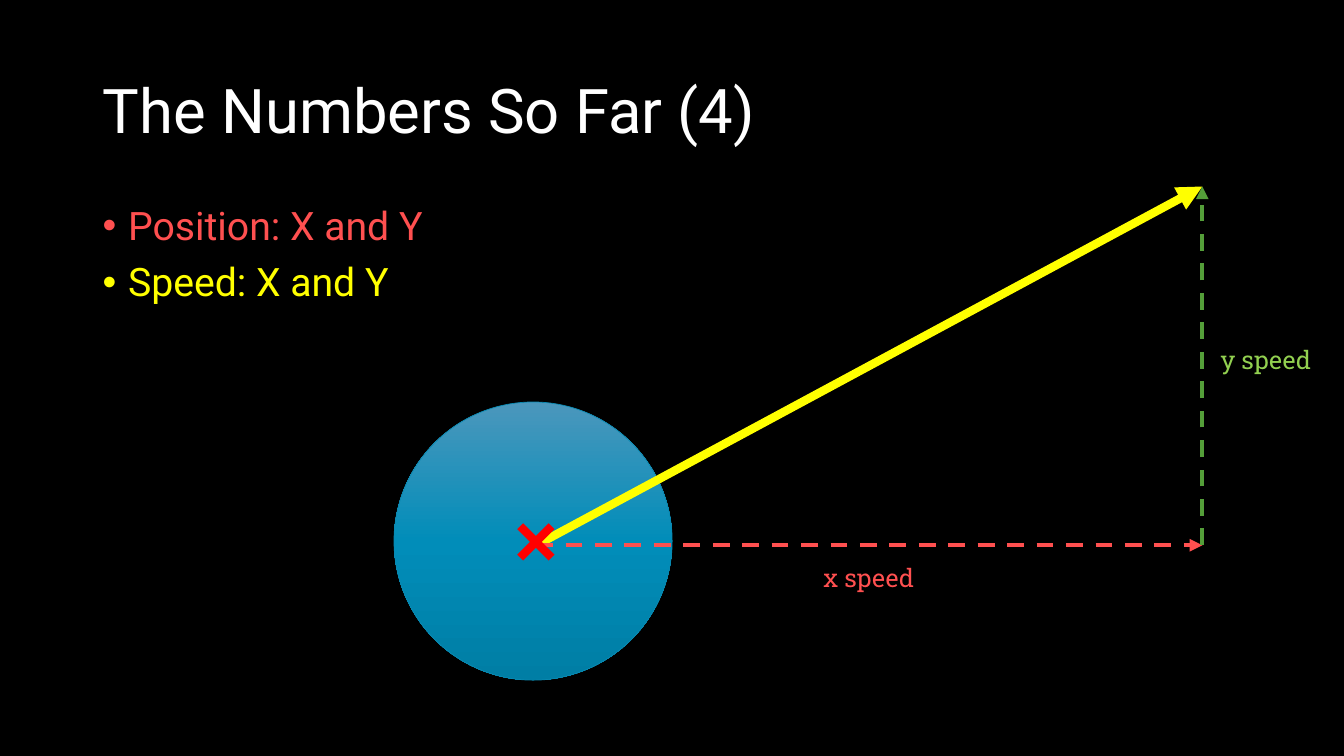
from copy import deepcopy
from pptx import Presentation
from pptx.dml.color import RGBColor
from pptx.enum import dml, shapes, text
from pptx.oxml.ns import qn
from pptx.util import Cm, Pt
from lxml import etree

BLACK = RGBColor(0x00, 0x00, 0x00)
WHITE = RGBColor(0xFF, 0xFF, 0xFF)
CORAL = RGBColor(0xFF, 0x50, 0x50)
YELLOW = RGBColor(0xFF, 0xFF, 0x00)
GREEN = RGBColor(0x54, 0x9E, 0x39)
LIME = RGBColor(0x92, 0xD0, 0x50)
RED = RGBColor(0xFF, 0x00, 0x00)
RIM = RGBColor(0x09, 0x89, 0xB1)
BLUES = [RGBColor(0x4B, 0x97, 0xBC), RGBColor(0x01, 0x8D, 0xB9),
         RGBColor(0x00, 0x7E, 0xA5)]

deck = Presentation()
deck.slide_width, deck.slide_height = Cm(33.87), Cm(19.05)
slide = deck.slides.add_slide(deck.slide_layouts[6])
slide.background.fill.solid()
slide.background.fill.fore_color.rgb = BLACK


def add_text(x, y, w, h, lines, size, face, bullet=False, wrap=True):
    """Add a text box; lines holds (words, colour) pairs."""
    frame = slide.shapes.add_textbox(Cm(x), Cm(y), Cm(w), Cm(h)).text_frame
    frame.word_wrap = wrap
    for i, (words, color) in enumerate(lines):
        para = frame.paragraphs[0] if i == 0 else frame.add_paragraph()
        para.text = words
        if wrap:
            para.line_spacing = 0.9
        if i:
            para.space_before = Pt(10)
        if bullet:
            props = para._p.get_or_add_pPr()
            props.set("marL", str(Cm(0.64)))
            props.set("indent", str(-Cm(0.64)))
            etree.SubElement(props, qn("a:buFont"), typeface="Arial")
            etree.SubElement(props, qn("a:buChar"), char="•")
        para.font.size = Pt(size)
        para.font.name = face
        para.font.color.rgb = color
    return frame


def add_line(home, start, end, color, width, dash=False, arrow=False):
    """Add a straight line from start to end, both (x, y) in cm."""
    line = home.add_connector(shapes.MSO_CONNECTOR.STRAIGHT,
                              *(Cm(v) for v in start + end))
    line.line.color.rgb = color
    line.line.width = Pt(width)
    if dash:
        line.line.dash_style = dml.MSO_LINE.DASH
    if arrow:
        etree.SubElement(line.line._get_or_add_ln(), qn("a:tailEnd"),
                         type="triangle")
    etree.SubElement(line._element.spPr, qn("a:effectLst"))


# Ball with a three-step gradient, light at the top
ball = slide.shapes.add_shape(shapes.MSO_SHAPE.OVAL,
                              Cm(9.93), Cm(10.13), Cm(7.01), Cm(7.01))
ball.shadow.inherit = False
ball.fill.gradient()
ball.fill.gradient_angle = 270
stops = ball.fill._fill._gradFill.find(qn("a:gsLst"))
stops.insert(1, deepcopy(stops[0]))
for i, (stop, blue) in enumerate(zip(ball.fill.gradient_stops, BLUES)):
    stop.position = i / 2
    stop.color.rgb = blue
ball.line.color.rgb = RIM
ball.line.width = Pt(0.5)

# Title and bullets
title = add_text(2.34, 1.02, 29.21, 3.68,
                 [("The Numbers So Far (4)", WHITE)], 44, "Roboto")
title.vertical_anchor = text.MSO_ANCHOR.MIDDLE
add_text(2.34, 5.08, 29.21, 12.09,
         [("Position: X and Y", CORAL), ("Speed: X and Y", YELLOW)],
         28, "Roboto", bullet=True)

# Speed vector and its two parts
start, tip = (13.51, 13.74), (30.3, 4.7)
corner = (tip[0], start[1])
add_line(slide.shapes, start, tip, YELLOW, 6, arrow=True)
add_line(slide.shapes, start, corner, CORAL, 3, dash=True, arrow=True)
add_line(slide.shapes, corner, tip, GREEN, 3, dash=True, arrow=True)

# Labels of the parts
for x, y, words, color in [(20.5, 14.05, "x speed", CORAL),
                           (30.51, 8.56, "y speed", LIME)]:
    label = add_text(x, y, 2.82, 1.02, [(words, color)], 18, "Roboto Slab",
                     wrap=False)
    label.auto_size = text.MSO_AUTO_SIZE.SHAPE_TO_FIT_TEXT

# Cross at the ball's position
cross = slide.shapes.add_group_shape().shapes
left, top, side = 13.11, 13.26, 0.79
for a, b in [(left, left + side), (left + side, left)]:
    add_line(cross, (a, top), (b, top + side), RED, 6)

deck.save("out.pptx")
